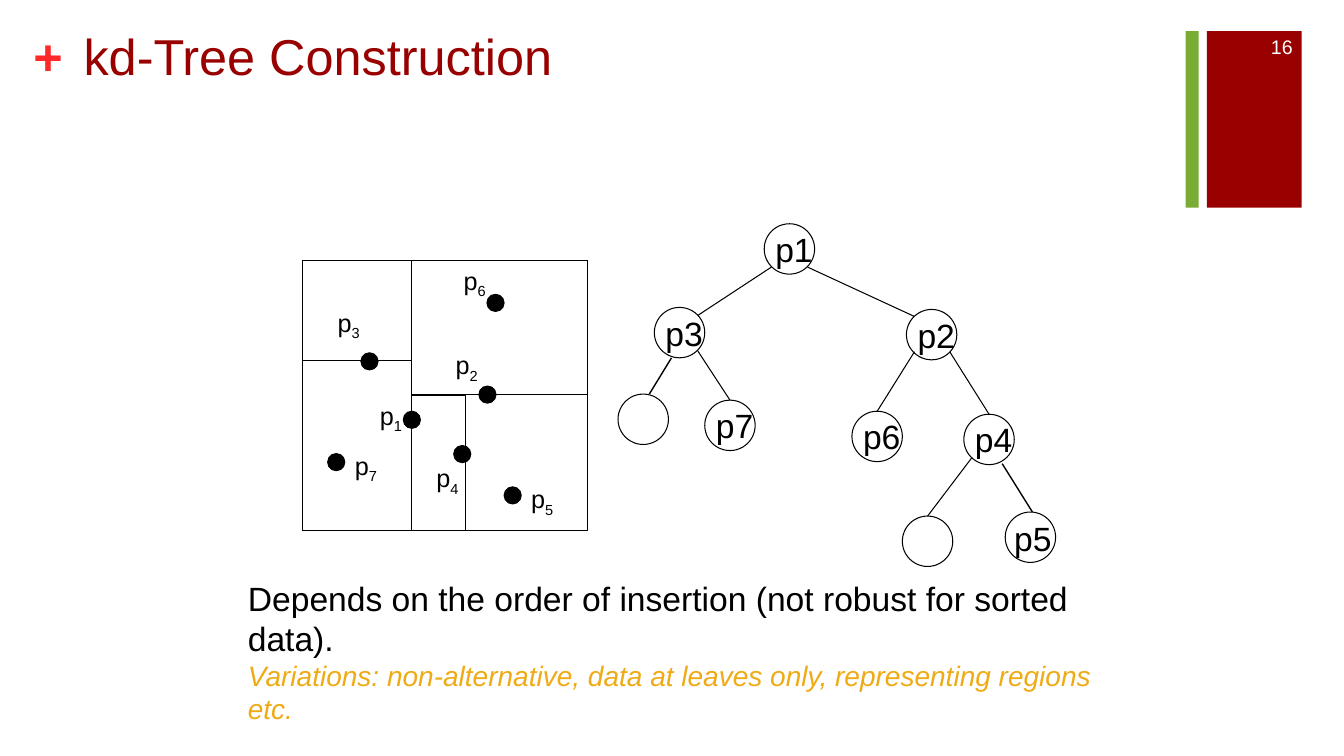
from dataclasses import dataclass

import pptx
import pptx.dml.color
import pptx.enum.shapes
import pptx.enum.text
import pptx.oxml.ns
import pptx.util
from lxml import etree

EMU_PER_PX = 9144
SHAPES = pptx.enum.shapes.MSO_SHAPE
ALIGN = pptx.enum.text.PP_ALIGN
ANCHOR = pptx.enum.text.MSO_ANCHOR


@dataclass(frozen=True)
class Theme:
    font: str = "Arial"
    black: str = "000000"
    white: str = "FFFFFF"
    red: str = "990000"
    bright_red: str = "FF2929"
    green: str = "78AC35"
    orange: str = "EFAB16"
    title: int = 36
    body: int = 24
    remark: int = 20
    point: int = 18
    page: int = 14
    thin: float = 0.75
    medium: float = 1.0


@dataclass(frozen=True)
class Box:
    left: int
    top: int
    width: int
    height: int


@dataclass(frozen=True)
class Point:
    index: str
    dot_left: int
    dot_top: int
    label_left: int
    label_top: int


@dataclass(frozen=True)
class Node:
    label: str
    left: int
    top: int


@dataclass(frozen=True)
class Edge:
    x1: int
    y1: int
    x2: int
    y2: int
    weight: float = Theme.thin


THEME = Theme()
DOT = 17
NODE = 50
INSETS = (10, 5, 10, 5)

REGIONS = [
    Box(300, 258, 283, 268),
    Box(300, 258, 108, 100),
    Box(300, 358, 108, 168),
    Box(408, 258, 175, 133),
    Box(408, 392, 54, 134),
]
POINTS = [
    Point("1", 400, 408, 367, 392),
    Point("2", 475, 383, 442, 342),
    Point("3", 358, 350, 325, 300),
    Point("4", 450, 442, 423, 454),
    Point("5", 500, 483, 517, 475),
    Point("6", 483, 292, 450, 258),
    Point("7", 325, 450, 342, 442),
]
NODES = [
    Node("p1", 758, 222),
    Node("p3", 649, 305),
    Node("p2", 899, 307),
    Node("", 613, 391),
    Node("p7", 699, 397),
    Node("p6", 845, 408),
    Node("p4", 956, 411),
    Node("", 895, 512),
    Node("", 997, 508),
]
EDGES = [
    Edge(765, 265, 692, 313),
    Edge(801, 265, 907, 314),
    Edge(942, 349, 981, 411),
    Edge(907, 349, 870, 408),
    Edge(692, 348, 724, 397),
    Edge(964, 454, 920, 512),
    Edge(644, 391, 666, 355, THEME.medium),
    Edge(994, 460, 1024, 508, THEME.medium),
]


def px(length: int) -> int:
    return pptx.util.Emu(length * EMU_PER_PX)


def rgb(color: str) -> pptx.dml.color.RGBColor:
    return pptx.dml.color.RGBColor.from_string(color)


def add_outline(slide, kind, box: Box, fill: str = "", line: str = ""):
    shape = slide.shapes.add_shape(
        kind, px(box.left), px(box.top), px(box.width), px(box.height))
    shape.shadow.inherit = False
    if fill:
        shape.fill.solid()
        shape.fill.fore_color.rgb = rgb(fill)
    else:
        shape.fill.background()
    if line:
        shape.line.color.rgb = rgb(line)
        shape.line.width = pptx.util.Pt(THEME.thin)
    else:
        shape.line.fill.background()
    return shape


def set_frame(frame, insets=INSETS, wrap: bool = True, anchor=ANCHOR.TOP) -> None:
    frame.margin_left, frame.margin_top, frame.margin_right, frame.margin_bottom = map(px, insets)
    frame.word_wrap = wrap
    frame.vertical_anchor = anchor


def style(paragraph, size: int, color: str, align=ALIGN.LEFT,
          bold: bool = False, italic: bool = False) -> None:
    paragraph.alignment = align
    for run in paragraph.runs:
        run.font.name = THEME.font
        run.font.size = pptx.util.Pt(size)
        run.font.color.rgb = rgb(color)
        run.font.bold = bold
        run.font.italic = italic


def add_text(slide, box: Box, text: str, size: int, color: str, insets=INSETS,
             wrap: bool = True, anchor=ANCHOR.TOP, align=ALIGN.LEFT, bold: bool = False):
    frame = slide.shapes.add_textbox(
        px(box.left), px(box.top), px(box.width), px(box.height)).text_frame
    set_frame(frame, insets, wrap, anchor)
    frame.text = text
    style(frame.paragraphs[0], size, color, align, bold)
    return frame


def add_edge(slide, edge: Edge) -> None:
    connector = slide.shapes.add_connector(
        pptx.enum.shapes.MSO_CONNECTOR.STRAIGHT,
        px(edge.x1), px(edge.y1), px(edge.x2), px(edge.y2))
    connector.line.color.rgb = rgb(THEME.black)
    connector.line.width = pptx.util.Pt(edge.weight)
    etree.SubElement(connector._element.spPr, pptx.oxml.ns.qn("a:effectLst"))


def add_point(slide, point: Point) -> None:
    add_outline(slide, SHAPES.OVAL, Box(point.dot_left, point.dot_top, DOT, DOT),
                THEME.black, THEME.black)
    label = add_text(slide, Box(point.label_left, point.label_top, 52, 40),
                     "p", THEME.point, THEME.black).paragraphs[0]
    subscript = label.add_run()
    subscript.text = point.index
    style(label, THEME.point, THEME.black)
    subscript._r.get_or_add_rPr().set("baseline", "-25000")


def add_node(slide, node: Node) -> None:
    circle = add_outline(slide, SHAPES.OVAL, Box(node.left, node.top, NODE, NODE),
                         line=THEME.black)
    if node.label:
        frame = circle.text_frame
        set_frame(frame, (19, 5, 10, 5), False, ANCHOR.MIDDLE)
        frame.text = node.label
        style(frame.paragraphs[0], THEME.body, THEME.black, ALIGN.CENTER)


def main() -> None:
    deck = pptx.Presentation()
    deck.slide_width, deck.slide_height = px(1333), px(750)
    slide = deck.slides.add_slide(deck.slide_layouts[6])

    add_outline(slide, SHAPES.RECTANGLE, Box(1197, 31, 94, 175), THEME.red)
    add_outline(slide, SHAPES.RECTANGLE, Box(1176, 31, 13, 175), THEME.green)
    add_text(slide, Box(33, 25, 38, 61), "+", THEME.title, THEME.bright_red,
             (0, 0, 0, 0), bold=True)
    add_text(slide, Box(73, 20, 1102, 122), "kd-Tree Construction", THEME.title, THEME.red)
    add_text(slide, Box(1211, 26, 81, 40), "16", THEME.page, THEME.white,
             anchor=ANCHOR.MIDDLE, align=ALIGN.RIGHT)

    for region in REGIONS:
        add_outline(slide, SHAPES.RECTANGLE, region, line=THEME.black)
    for point in POINTS:
        add_point(slide, point)
    for edge in EDGES:
        add_edge(slide, edge)
    for node in NODES:
        add_node(slide, node)
    add_text(slide, Box(996, 509, 58, 50), "p5", THEME.body, THEME.black, wrap=False)

    summary = add_text(
        slide, Box(236, 568, 892, 180),
        "Depends on the order of insertion (not robust for sorted data).",
        THEME.body, THEME.black)
    variations = summary.add_paragraph()
    variations.text = "Variations: non-alternative, data at leaves only, representing regions etc."
    style(variations, THEME.remark, THEME.orange, italic=True)

    deck.save("out.pptx")


if __name__ == "__main__":
    main()
